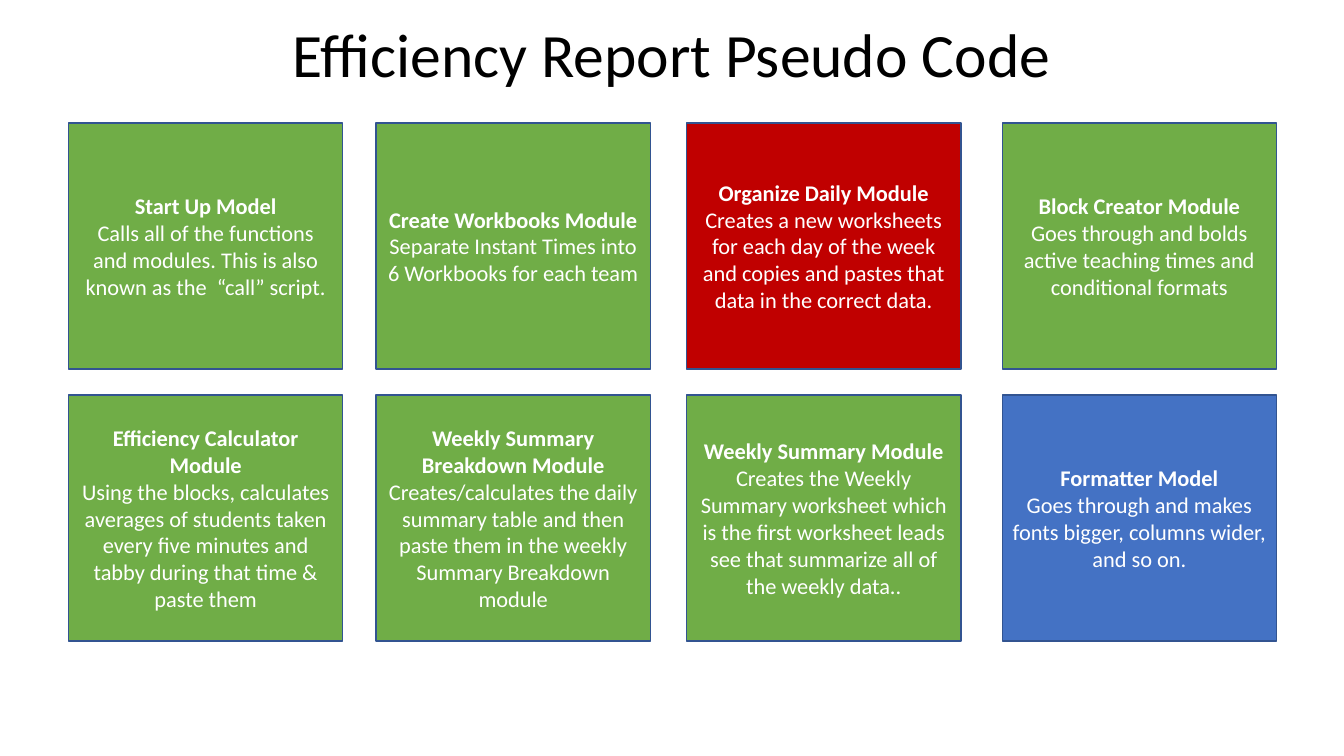
from pptx import Presentation
from pptx.dml.color import RGBColor
from pptx.enum.shapes import MSO_SHAPE as Shape
from pptx.enum.text import MSO_ANCHOR as Anchor, MSO_AUTO_SIZE as AutoSize, PP_ALIGN as Align
from pptx.util import Inches, Pt

COLORS = {
    "done": "70AD47",
    "problem": "C00000",
    "formatter": "4472C4",
    "outline": "325491",
    "title": "000000",
    "module_text": "FFFFFF",
}

COLUMN_LEFTS = [0.68, 3.73, 6.81, 9.94]
ROW_TOPS = [1.22, 3.92]
MODULE_WIDTH, MODULE_HEIGHT = 2.72, 2.44

# Each module: fill, heading lines, description
MODULE_ROWS = [
    [
        ("done", ["Start Up Model"],
         "Calls all of the functions and modules. This is also known as the  “call” script."),
        ("done", ["Create Workbooks Module"],
         "Separate Instant Times into 6 Workbooks for each team"),
        ("problem", ["Organize Daily Module"],
         "Creates a new worksheets for each day of the week and copies and pastes "
         "that data in the correct data."),
        ("done", ["Block Creator Module"],
         "Goes through and bolds active teaching times and conditional formats"),
    ],
    [
        ("done", ["Efficiency Calculator", "Module"],
         "Using the blocks, calculates averages of students taken every five minutes "
         "and tabby during that time & paste them"),
        ("done", ["Weekly Summary Breakdown Module"],
         "Creates/calculates the daily summary table and then paste them in the weekly "
         "Summary Breakdown module"),
        ("done", ["Weekly Summary Module"],
         "Creates the Weekly Summary worksheet which is the first worksheet leads see "
         "that summarize all of the weekly data.."),
        ("formatter", ["Formatter Model"],
         "Goes through and makes fonts bigger, columns wider, and so on."),
    ],
]


class SlideBuilder:
    font_name = "Calibri"

    def __init__(self, slide):
        self.slide = slide

    def color(self, name):
        return RGBColor.from_string(COLORS[name])

    def add_run(self, paragraph, text, size, color, bold=False):
        paragraph.alignment = Align.CENTER
        run = paragraph.add_run()
        run.text = text
        run.font.name = self.font_name
        run.font.size = Pt(size)
        run.font.bold = bold
        run.font.color.rgb = self.color(color)

    def set_title(self, text, left, top, width, height):
        title = self.slide.shapes.title
        title.left, title.top = Inches(left), Inches(top)
        title.width, title.height = Inches(width), Inches(height)
        frame = title.text_frame
        frame.word_wrap = True
        frame.auto_size = AutoSize.NONE
        frame.vertical_anchor = Anchor.TOP
        self.add_run(frame.paragraphs[0], text, 44, "title")

    def add_module(self, left, top, fill, headings, description):
        box = self.slide.shapes.add_shape(
            Shape.RECTANGLE, Inches(left), Inches(top),
            Inches(MODULE_WIDTH), Inches(MODULE_HEIGHT))
        box.shadow.inherit = False
        box.fill.solid()
        box.fill.fore_color.rgb = self.color(fill)
        box.line.color.rgb = self.color("outline")
        box.line.width = Pt(1)
        frame = box.text_frame
        frame.word_wrap = True
        frame.vertical_anchor = Anchor.MIDDLE
        paragraph = frame.paragraphs[0]
        for heading in headings:
            self.add_run(paragraph, heading, 16, "module_text", bold=True)
            paragraph = frame.add_paragraph()
        self.add_run(paragraph, description, 16, "module_text")


def main():
    presentation = Presentation()
    presentation.slide_width = Inches(13.33)
    presentation.slide_height = Inches(7.5)
    title_only = presentation.slide_layouts.get_by_name("Title Only")
    builder = SlideBuilder(presentation.slides.add_slide(title_only))

    builder.set_title("Efficiency Report Pseudo Code", 0, 0.11, 13.33, 0.84)
    for top, modules in zip(ROW_TOPS, MODULE_ROWS):
        for left, module in zip(COLUMN_LEFTS, modules):
            builder.add_module(left, top, *module)

    presentation.save("out.pptx")


if __name__ == "__main__":
    main()
